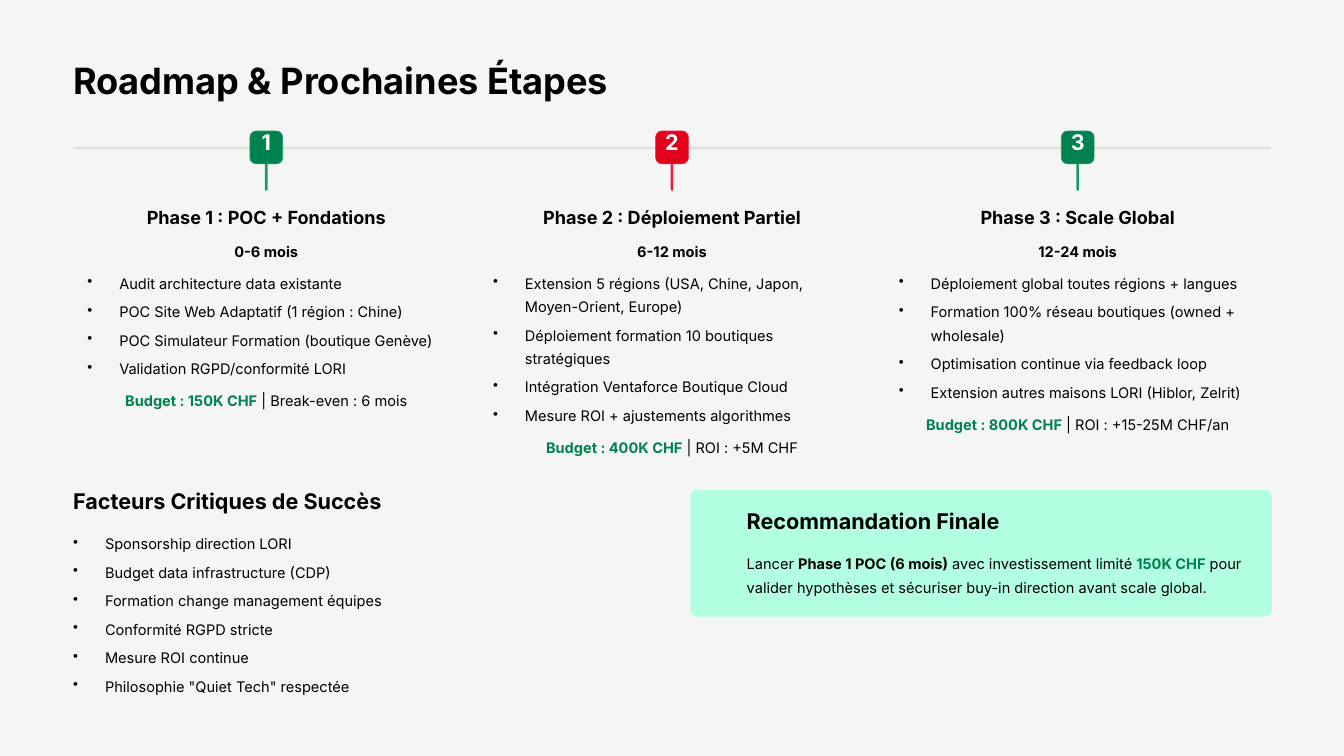
from lxml import etree
from pptx import Presentation
from pptx.dml.color import RGBColor
from pptx.enum import shapes, text
from pptx.oxml import ns
from pptx.util import Inches, Pt

GREEN, RED, BLACK = "008150", "E3001D", "000000"
LEFT, MID = text.PP_ALIGN.LEFT, text.PP_ALIGN.CENTER
hue = RGBColor.from_string

# Style: size, line height, bold, alignment, colour
STYLES = {
    "title": (31, 39, True, LEFT, BLACK),
    "number": (18.5, 18.5, True, MID, "FFFFFF"),
    "phase": (15.5, 19.5, True, MID, BLACK),
    "period": (12.5, 20, True, MID, BLACK),
    "budget": (12.5, 20, False, MID, BLACK),
    "bullet": (12.5, 20, False, LEFT, BLACK),
    "head": (18.5, 23, True, LEFT, BLACK),
    "body": (12.5, 20, False, LEFT, BLACK),
}

prs = Presentation()
prs.slide_width, prs.slide_height = Inches(16), Inches(9)
slide = prs.slides.add_slide(prs.slide_layouts[5])
slide.background.fill.solid()
slide.background.fill.fore_color.rgb = hue("F5F5F5")


def write(shape, lines):
    """Each line is (style, space before, runs); a run is text or (text, colour)."""
    frame = shape.text_frame
    frame.word_wrap = True
    frame.auto_size = text.MSO_AUTO_SIZE.NONE
    frame.vertical_anchor = text.MSO_ANCHOR.TOP
    frame.margin_left = frame.margin_right = frame.margin_top = frame.margin_bottom = 0
    for i, (style, gap, *runs) in enumerate(lines):
        para = frame.paragraphs[0] if i == 0 else frame.add_paragraph()
        size, high, bold, align, color = STYLES[style]
        para.alignment, para.line_spacing, para.space_before = align, Pt(high), Pt(gap)
        if style == "bullet":
            props = para._p.get_or_add_pPr()
            props.set("marL", str(Inches(0.38)))
            props.set("indent", str(-Inches(0.38)))
            etree.SubElement(props, ns.qn("a:buChar")).set("char", "•")
        font = para.font
        font.name, font.size, font.bold = "Inter", Pt(size), bold
        font.color.rgb = hue(color)
        for item in runs:
            run = para.add_run()
            if isinstance(item, str):
                run.text = item
            else:
                run.text, tint = item
                run.font.bold = True
                run.font.color.rgb = hue(tint)


def block(x, y, w, h, round, fill):
    """Rounded block with a flat fill."""
    shape = slide.shapes.add_shape(shapes.MSO_SHAPE.ROUNDED_RECTANGLE,
                                   Inches(x), Inches(y), Inches(w), Inches(h))
    shape.adjustments[0] = round
    shape.shadow.inherit = False
    shape.fill.solid()
    shape.fill.fore_color.rgb = hue(fill)
    shape.line.fill.background()
    return shape


# Title
title = slide.shapes.title
title.left, title.top = Inches(0.87), Inches(0.67)
title.width, title.height = Inches(14.26), Inches(0.54)
write(title, [("title", 0, "Roadmap & Prochaines Étapes")])

# Timeline: black at 8 % opacity
axis = block(0.87, 1.75, 14.26, 0.03, 0.5, BLACK)
tone = axis.fill._xPr.find(".//" + ns.qn("a:srgbClr"))
etree.SubElement(tone, ns.qn("a:alpha")).set("val", "8000")

# Phases: colour, edge, name, period, budget, result, steps
PHASES = [
    (GREEN, "199A69", "Phase 1 : POC + Fondations", "0-6 mois",
     "Budget : 150K CHF", " | Break-even : 6 mois",
     ["Audit architecture data existante",
      "POC Site Web Adaptatif (1 région : Chine)",
      "POC Simulateur Formation (boutique Genève)",
      "Validation RGPD/conformité LORI"]),
    (RED, "FC1936", "Phase 2 : Déploiement Partiel", "6-12 mois",
     "Budget : 400K CHF", " | ROI : +5M CHF",
     ["Extension 5 régions (USA, Chine, Japon, Moyen-Orient, Europe)",
      "Déploiement formation 10 boutiques stratégiques",
      "Intégration Ventaforce Boutique Cloud",
      "Mesure ROI + ajustements algorithmes"]),
    (GREEN, "199A69", "Phase 3 : Scale Global", "12-24 mois",
     "Budget : 800K CHF", " | ROI : +15-25M CHF/an",
     ["Déploiement global toutes régions + langues",
      "Formation 100% réseau boutiques (owned + wholesale)",
      "Optimisation continue via feedback loop",
      "Extension autres maisons LORI (Hiblor, Zelrit)"]),
]
for i, (fill, edge, name, period, budget, result, steps) in enumerate(PHASES):
    mid = 3.17 + 4.83 * i
    block(mid - 0.015, 1.75, 0.03, 0.52, 0.5, edge)
    badge = block(mid - 0.195, 1.56, 0.39, 0.39, 0.19, fill)
    badge.line.color.rgb = hue(edge)
    badge.line.width = Pt(0.6)
    write(badge, [("number", 0, str(i + 1))])
    badge.text_frame.margin_top = Inches(0.01)
    column = slide.shapes.add_textbox(Inches(mid - 2.13), Inches(2.45),
                                      Inches(4.26), Inches(3))
    write(column, [("phase", 0, name), ("period", 7.2, period)]
          + [("bullet", 4.4 if k else 7.4, step) for k, step in enumerate(steps)]
          + [("budget", 7.4, (budget, GREEN), result)])

# Success factors
FACTORS = ["Sponsorship direction LORI", "Budget data infrastructure (CDP)",
           "Formation change management équipes", "Conformité RGPD stricte",
           "Mesure ROI continue", 'Philosophie "Quiet Tech" respectée']
keys = slide.shapes.add_textbox(Inches(0.87), Inches(5.8), Inches(6.92), Inches(2.48))
write(keys, [("head", 0, "Facteurs Critiques de Succès")]
      + [("bullet", 4.4 if k else 13, line) for k, line in enumerate(FACTORS)])

# Final recommendation
block(8.22, 5.83, 6.92, 1.51, 0.05, "B3FFE2")
advice = slide.shapes.add_textbox(Inches(8.89), Inches(6.04), Inches(6.07), Inches(1.06))
write(advice, [
    ("head", 0, "Recommandation Finale"),
    ("body", 13, "Lancer ", ("Phase 1 POC (6 mois)", BLACK),
     " avec investissement limité ", ("150K CHF", GREEN),
     " pour valider hypothèses et sécuriser buy-in direction avant scale global."),
])

prs.save("out.pptx")
